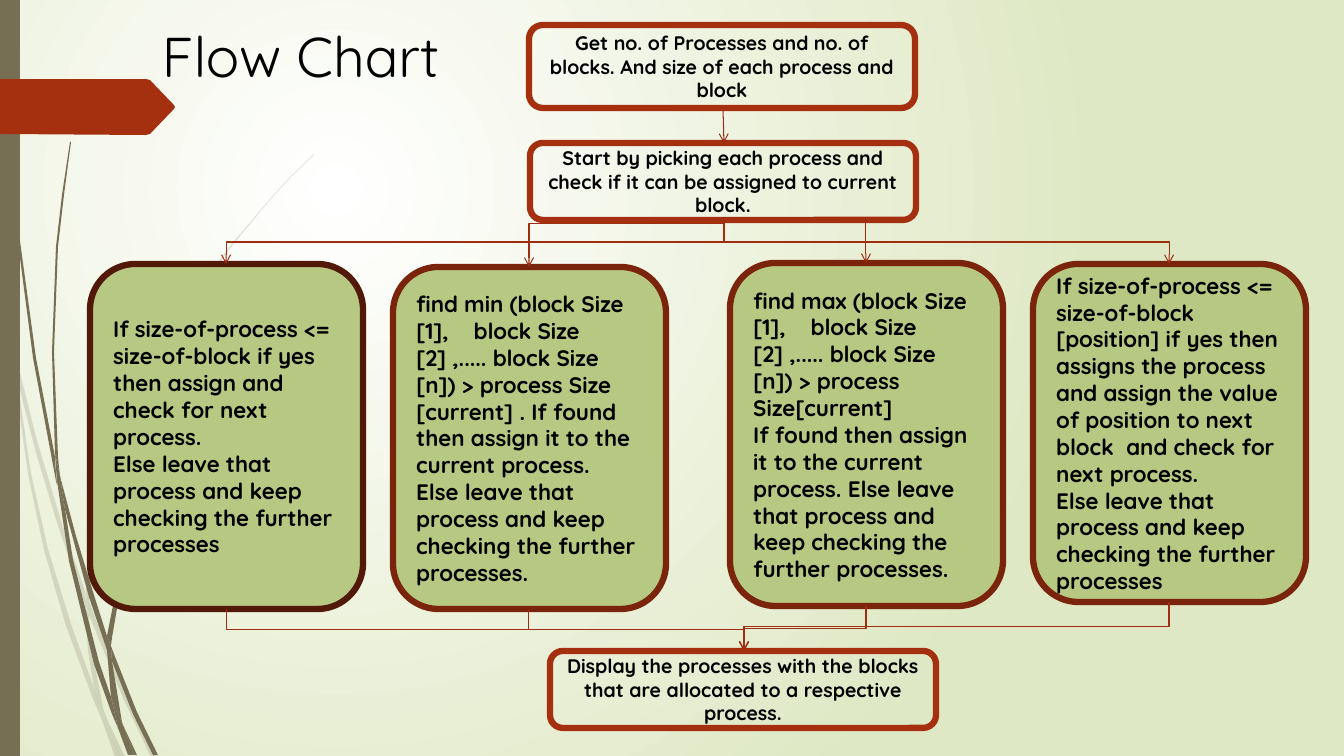
"""Build the block-allocation flow chart slide."""
from lxml import etree
from pptx import Presentation
from pptx.dml.color import RGBColor
from pptx.enum.shapes import MSO_CONNECTOR, MSO_SHAPE
from pptx.enum.text import MSO_ANCHOR, PP_ALIGN
from pptx.oxml.ns import qn
from pptx.util import Pt

ELBOW, STRAIGHT = MSO_CONNECTOR.ELBOW, MSO_CONNECTOR.STRAIGHT
RECTANGLE, ROUNDED = MSO_SHAPE.RECTANGLE, MSO_SHAPE.ROUNDED_RECTANGLE
MIDDLE, CENTER, LEFT = MSO_ANCHOR.MIDDLE, PP_ALIGN.CENTER, PP_ALIGN.LEFT
BLACK = RGBColor(0x00, 0x00, 0x00)
WHITE = RGBColor(0xFF, 0xFF, 0xFF)
PALE_GREEN = RGBColor(0xDF, 0xE8, 0xC4)
GREEN = RGBColor(0xB6, 0xC8, 0x82)
OLIVE = RGBColor(0x76, 0x6F, 0x54)
RED = RGBColor(0xA5, 0x30, 0x10)
LINE_RED = RGBColor(0x9E, 0x2E, 0x0F)
DARK_RED = RGBColor(0x7A, 0x24, 0x0C)
DARKEST_RED = RGBColor(0x52, 0x18, 0x08)
FONT = "Quicksand"
EMU_PER_PIXEL = 914400 / 100.8


def px(length):
    return round(length * EMU_PER_PIXEL)


class FlowSlide:
    def __init__(self, page):
        self.page = page
        self.shapes = page.shapes

    def background(self, inner, outer):
        fill = self.page.background.fill
        fill.gradient()
        for stop, color in zip(fill.gradient_stops, (inner, outer)):
            stop.color.rgb = color
        linear = self.page.element.find(".//" + qn("a:lin"))
        circle = etree.Element(qn("a:path"), {"path": "circle"})
        etree.SubElement(circle, qn("a:fillToRect"), l="50000", t="50000", r="100000", b="100000")
        linear.getparent().replace(linear, circle)

    def paint(self, shape, color, opacity=100):
        shape.shadow.inherit = False
        shape.line.fill.background()
        shape.fill.solid()
        shape.fill.fore_color.rgb = color
        if opacity < 100:
            tint = shape._element.spPr.find(".//" + qn("a:srgbClr"))
            etree.SubElement(tint, qn("a:alpha"), val=str(opacity * 1000))

    def outline(self, points, color, opacity=100):
        builder = self.shapes.build_freeform(*points[0], scale=EMU_PER_PIXEL)
        builder.add_line_segments(points[1:], close=True)
        self.paint(builder.convert_to_shape(), color, opacity)

    def bar(self, left, top, width, height, color):
        self.paint(self.shapes.add_shape(RECTANGLE, px(left), px(top), px(width), px(height)), color)

    def fill_text(self, frame, paragraphs, size, bold, align):
        frame.word_wrap = True
        for index, text in enumerate(paragraphs):
            paragraph = frame.add_paragraph() if index else frame.paragraphs[0]
            paragraph.text = text
            paragraph.alignment = align
            font = paragraph.font
            font.name, font.size, font.bold = FONT, Pt(size), bold
            font.color.rgb = BLACK

    def box(self, area, paragraphs, size, align, border, fill=None):
        shape = self.shapes.add_shape(ROUNDED, *map(px, area))
        shape.shadow.inherit = False
        if fill is None:
            shape.fill.background()
        else:
            shape.fill.solid()
            shape.fill.fore_color.rgb = fill
        shape.line.color.rgb = border
        shape.line.width = Pt(4.5)
        shape.text_frame.vertical_anchor = MIDDLE
        self.fill_text(shape.text_frame, paragraphs, size, True, align)

    def title(self, left, top, width, height, text):
        label = self.shapes.add_textbox(px(left), px(top), px(width), px(height))
        self.fill_text(label.text_frame, [text], 40, False, LEFT)

    def arrow(self, kind, start_x, start_y, end_x, end_y):
        connector = self.shapes.add_connector(kind, px(start_x), px(start_y), px(end_x), px(end_y))
        connector.line.color.rgb = LINE_RED
        connector.line.width = Pt(0.75)
        properties = connector._element.spPr
        etree.SubElement(properties.find(qn("a:ln")), qn("a:tailEnd"), type="arrow")
        etree.SubElement(properties, qn("a:effectLst"))
        return properties

    def elbow(self, start_x, start_y, end_x, end_y, bend=0.5):
        middle_x, middle_y = (start_x + end_x) / 2, (start_y + end_y) / 2
        half_width, half_height = (end_y - start_y) / 2, abs(end_x - start_x) / 2
        rightward = end_x > start_x
        reach = -half_width if rightward else half_width
        properties = self.arrow(ELBOW, middle_x - reach, middle_y - half_height,
                                middle_x + reach, middle_y + half_height)
        properties.find(qn("a:xfrm")).set("rot", str((270 if rightward else 90) * 60000))
        adjustments = properties.find(qn("a:prstGeom")).get_or_add_avLst()
        etree.SubElement(adjustments, qn("a:gd"), name="adj1", fmla=f"val {round(bend * 100000)}")


FAINT_WISPS = [
    [(0, 284), (0, 301), (10, 347), (11, 353), (9, 325)],
    [(58, 526), (85, 604), (85, 591), (62, 524), (36, 437), (14, 348), (17, 379), (36, 453)],
    [(93, 612), (89, 601), (89, 615), (124, 700), (151, 757), (156, 757), (128, 698)],
    [(120, 757), (125, 757), (106, 717)],
    [(94, 688), (71, 624), (48, 549), (31, 473), (17, 379), (11, 353), (28, 474), (44, 550),
     (66, 626), (93, 699), (102, 720), (100, 713)],
    [(85, 604), (88, 651), (94, 688), (97, 698), (106, 717), (104, 712), (92, 651), (89, 615)],
    [(89, 589), (96, 526), (111, 466), (133, 408), (161, 352), (194, 298), (231, 247), (270, 200),
     (292, 176), (314, 155), (314, 154), (291, 176), (270, 199), (230, 246), (192, 297), (159, 351),
     (131, 406), (108, 465), (92, 526), (86, 589), (86, 591), (89, 601)],
    [(102, 720), (115, 757), (120, 757)],
    [(89, 613), (89, 601), (86, 591), (85, 604)],
    [(97, 698), (94, 688), (100, 713), (102, 720), (120, 757), (106, 717)],
]
SOLID_WISPS = [
    [(7, 111), (17, 235), (33, 358), (56, 481), (57, 485), (55, 461), (55, 457), (36, 358),
     (19, 234), (8, 110), (5, 48), (4, 0), (3, 0), (4, 48)],
    [(89, 597), (107, 650), (107, 636), (94, 595), (76, 536), (60, 476), (65, 509)],
    [(114, 654), (111, 646), (112, 661), (133, 714), (153, 755), (158, 755), (137, 712)],
    [(111, 697), (99, 662), (73, 560), (65, 509), (57, 481), (69, 561), (94, 664), (112, 714),
     (118, 728), (117, 723)],
    [(60, 476), (58, 457), (54, 352), (58, 247), (64, 195), (71, 142), (70, 142), (62, 195),
     (56, 247), (52, 352), (55, 453)],
    [(134, 755), (137, 755), (123, 725)],
    [(57, 481), (65, 509), (60, 476), (55, 453)],
    [(112, 638), (126, 556), (159, 480), (207, 409), (233, 377), (263, 347), (262, 347),
     (233, 376), (206, 408), (157, 478), (123, 555), (107, 636), (111, 646)],
    [(118, 728), (128, 755), (132, 755)],
    [(107, 650), (111, 697), (117, 712), (123, 725), (122, 722), (112, 661), (110, 656)],
    [(107, 650), (112, 661), (111, 646), (107, 636)],
    [(117, 712), (111, 697), (117, 723), (118, 728), (131, 755), (134, 755), (123, 725)],
]
RIBBON = [(0, 79), (146, 79), (150, 80), (174, 105), (175, 107), (174, 109), (150, 134), (146, 135),
          (0, 134)]
STEPS = [
    ((530, 143, 386, 77),
     "Start by picking each process and check if it can be assigned to current block."),
    ((529, 25, 386, 83),
     "Get no. of Processes and no. of blocks. And size of each process and block"),
    ((550, 651, 386, 77),
     "Display the processes with the blocks that are allocated to a respective process."),
]
ELSE_TEXT = "Else leave that process and keep checking the further processes"
STRATEGY_WIDTH = 273
STRATEGIES = [
    (90, 264, 345, DARKEST_RED, 0.5,
     ["If size-of-process <= size-of-block if yes then assign and check for next process.",
      ELSE_TEXT]),
    (393, 267, 342, DARK_RED, 0.07,
     ["find min (block Size [1],    block Size [2] ,..... block Size [n]) > process Size [current] . "
      "If found then assign it to the current process.", ELSE_TEXT + "."]),
    (730, 263, 343, DARK_RED, -0.05,
     ["find max (block Size [1],    block Size [2] ,..... block Size [n]) > process Size[current]",
      "If found then assign it to the current process. " + ELSE_TEXT + "."]),
    (1033, 264, 338, DARK_RED, 0.5,
     ["If size-of-process <= size-of-block [position] if yes then assigns the process and assign "
      "the value of position to next block  and check for next process.", ELSE_TEXT]),
]

deck = Presentation()
deck.slide_width, deck.slide_height = px(1344), px(756)
slide = FlowSlide(deck.slides.add_slide(deck.slide_layouts[6]))
slide.background(WHITE, PALE_GREEN)
for wisp in FAINT_WISPS:
    slide.outline(wisp, OLIVE, 20)
for wisp in SOLID_WISPS:
    slide.outline(wisp, OLIVE)
slide.bar(0, 0, 20, 756, OLIVE)
slide.outline(RIBBON, RED)
for area, text in STEPS:
    slide.box(area, [text], 14, CENTER, RED)
for left, top, height, border, bend, paragraphs in STRATEGIES:
    slide.box((left, top, STRATEGY_WIDTH, height), paragraphs, 16, LEFT, border, GREEN)
slide.arrow(STRAIGHT, 723, 108, 724, 143)
for left, top, height, border, bend, paragraphs in STRATEGIES:
    center = left + STRATEGY_WIDTH // 2
    slide.elbow(724, 220, center, top, bend)
    slide.elbow(center, top + height, 744, 651)
slide.title(152, 17, 343, 78, "Flow Chart")
deck.save("out.pptx")
